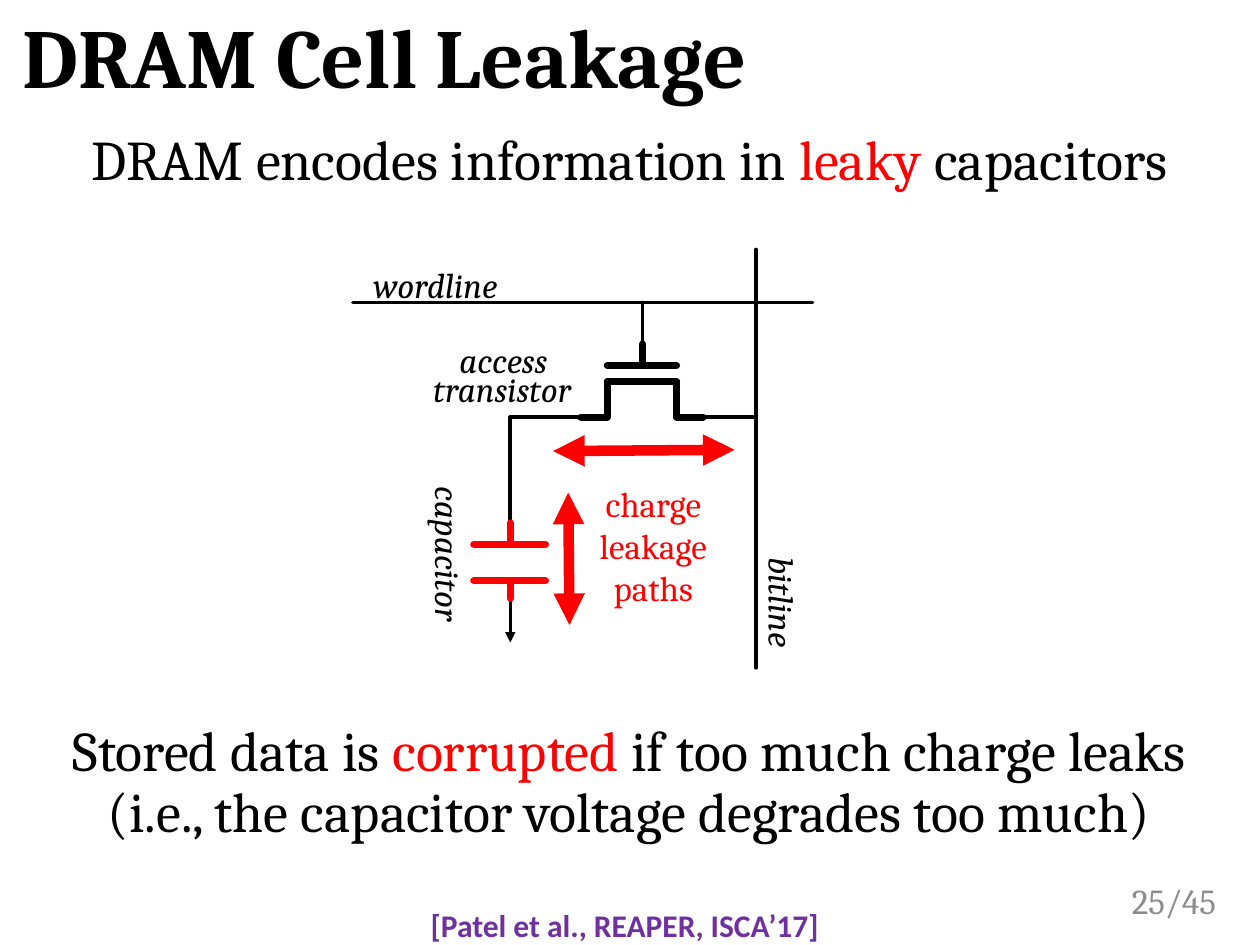
from lxml import etree
from pptx import Presentation
from pptx.dml.color import RGBColor
from pptx.enum.shapes import MSO_CONNECTOR
from pptx.enum.text import MSO_ANCHOR, PP_ALIGN
from pptx.oxml.ns import qn
from pptx.util import Inches, Pt

LEFT, CENTER, RIGHT = PP_ALIGN.LEFT, PP_ALIGN.CENTER, PP_ALIGN.RIGHT
TOP, MIDDLE = MSO_ANCHOR.TOP, MSO_ANCHOR.MIDDLE
STRAIGHT = MSO_CONNECTOR.STRAIGHT

COLORS = {"black": "000000", "red": "FF0000", "purple": "7030A0", "gray": "8C8C8C"}
MARGIN, FULL_WIDTH = 0.08, 9.83
THIN, THICK, HEAVY = 2, 4, 6

TITLE = "DRAM Cell Leakage"
STATEMENTS = [
    (1, 0.68, [("DRAM encodes information in ", "black"), ("leaky ", "red"),
               ("capacitors", "black")]),
    (5.69, 1.16, [("Stored data is ", "black"), ("corrupted ", "red"),
                  ("if too much charge leaks (i.e., the capacitor voltage degrades too much)",
                   "black")]),
]
LABELS = [
    ("wordline", (2.8, 2.05, 1.31, 0.41), 0),
    ("capacitor", (2.75, 4.18, 1.63, 0.44), 90),
    ("access", (3.19, 2.62, 1.61, 0.47), 0),
    ("transistor", (3.19, 2.81, 1.59, 0.54), 0),
    ("bitline", (5.61, 4.56, 1.2, 0.44), 90),
]
LEAKAGE_WORDS = ["charge", "leakage", "paths"]
CITATION = "[Patel et al., REAPER, ISCA’17]"
PAGE_NUMBER = "25/45"

WORDLINE_Y, BITLINE_X = 2.4, 6
GATE_X, GATE_Y, CHANNEL_Y, CONTACT_Y = 5.1, 2.9, 3.03, 3.31
CHANNEL_LEFT, CHANNEL_RIGHT = 4.82, 5.37
SOURCE_X, DRAIN_X = 4.61, 5.58
CAP_X, PLATE_LEFT, PLATE_RIGHT = 4.05, 3.76, 4.33
UPPER_PLATE_Y, LOWER_PLATE_Y = 4.32, 4.61
CAP_TOP, CAP_BOTTOM, GROUND_Y = 4.15, 4.75, 5.1

WIRES = [
    ((2.8, WORDLINE_Y), (6.45, WORDLINE_Y)),
    ((BITLINE_X, 1.98), (BITLINE_X, 5.3)),
    ((GATE_X, WORDLINE_Y), (GATE_X, 2.75)),
    ((DRAIN_X, CONTACT_Y), (BITLINE_X, CONTACT_Y)),
]
STORAGE_WIRE = [(SOURCE_X, CONTACT_Y), (CAP_X, CONTACT_Y), (CAP_X, CAP_TOP)]
TRANSISTOR = [
    ((GATE_X, 2.73), (GATE_X, GATE_Y)),
    ((CHANNEL_LEFT, GATE_Y), (CHANNEL_RIGHT, GATE_Y)),
    ((CHANNEL_LEFT, CHANNEL_Y), (CHANNEL_RIGHT, CHANNEL_Y)),
    ((CHANNEL_LEFT, CHANNEL_Y), (CHANNEL_LEFT, CONTACT_Y)),
    ((CHANNEL_RIGHT, CHANNEL_Y), (CHANNEL_RIGHT, CONTACT_Y)),
    ((SOURCE_X, CONTACT_Y), (CHANNEL_LEFT, CONTACT_Y)),
    ((CHANNEL_RIGHT, CONTACT_Y), (DRAIN_X, CONTACT_Y)),
]
CAPACITOR = [
    ((CAP_X, CAP_TOP), (CAP_X, UPPER_PLATE_Y)),
    ((PLATE_LEFT, UPPER_PLATE_Y), (PLATE_RIGHT, UPPER_PLATE_Y)),
    ((PLATE_LEFT, LOWER_PLATE_Y), (PLATE_RIGHT, LOWER_PLATE_Y)),
    ((CAP_X, LOWER_PLATE_Y), (CAP_X, CAP_BOTTOM)),
]
LEAKAGE_PATHS = [((4.51, 3.91), (4.52, 4.96)), ((4.39, 3.58), (5.83, 3.57))]


def rgb(name):
    return RGBColor.from_string(COLORS[name])


def add_text(page, area, paragraphs, size, align=CENTER, anchor=TOP, font="Cambria",
             bold=False, italic=False, spacing=1.0, wrap=True, rotation=0):
    box = page.shapes.add_textbox(*map(Inches, area))
    box.rotation = rotation
    frame = box.text_frame
    frame.word_wrap = wrap
    frame.vertical_anchor = anchor
    for index, spans in enumerate(paragraphs):
        para = frame.add_paragraph() if index else frame.paragraphs[0]
        para.alignment = align
        para.line_spacing = spacing
        para.font.name = font
        para.font.size = Pt(size)
        para.font.bold = bold
        para.font.italic = italic
        for text, color in spans:
            span = para.add_run()
            span.text = text
            span.font.color.rgb = rgb(color)


def style_line(shape, color, width, cap="rnd"):
    shape.line.color.rgb = rgb(color)
    shape.line.width = Pt(width)
    stroke = shape.line._get_or_add_ln()
    stroke.set("cap", cap)
    return stroke


def add_line(page, start, end, color, width, arrows=()):
    line = page.shapes.add_connector(STRAIGHT, *map(Inches, start + end))
    stroke = style_line(line, color, width, "flat" if arrows else "rnd")
    for arrow in arrows:
        etree.SubElement(stroke, qn(f"a:{arrow}")).set("type", "triangle")
    etree.SubElement(line._element.spPr, qn("a:effectLst"))


def add_polyline(page, points, color, width):
    corners = [(Inches(x), Inches(y)) for x, y in points]
    builder = page.shapes.build_freeform(*corners[0])
    builder.add_line_segments(corners[1:], close=False)
    wire = builder.convert_to_shape()
    wire.fill.background()
    wire.shadow.inherit = False
    style_line(wire, color, width)


def main():
    deck = Presentation()
    deck.slide_width, deck.slide_height = Inches(10), Inches(7.5)
    page = deck.slides.add_slide(deck.slide_layouts[6])

    add_text(page, (8.67, 6.95, 1.08, 0.4), [[(PAGE_NUMBER, "gray")]], 20,
             align=RIGHT, anchor=MIDDLE)
    add_text(page, (MARGIN, 0.08, FULL_WIDTH, 0.81), [[(TITLE, "black")]], 48,
             align=LEFT, bold=True, spacing=0.9)
    for top, height, spans in STATEMENTS:
        add_text(page, (MARGIN, top, FULL_WIDTH, height), [spans], 32, spacing=0.9)

    for text, area, rotation in LABELS:
        add_text(page, area, [[(text, "black")]], 20, anchor=MIDDLE, italic=True,
                 rotation=rotation)
    for lines, color, width in ((WIRES, "black", THIN), (TRANSISTOR, "black", THICK)):
        for start, end in lines:
            add_line(page, start, end, color, width)
    add_polyline(page, STORAGE_WIRE, "black", THIN)
    add_line(page, (CAP_X, CAP_BOTTOM), (CAP_X, GROUND_Y), "black", THIN, ["tailEnd"])
    for start, end in CAPACITOR:
        add_line(page, start, end, "red", THICK)

    for start, end in LEAKAGE_PATHS:
        add_line(page, start, end, "red", HEAVY, ["headEnd", "tailEnd"])
    add_text(page, (4.63, 3.78, 1.11, 1.11), [[(word, "red")] for word in LEAKAGE_WORDS],
             20, wrap=False)
    add_text(page, (3.32, 7.14, 3.36, 0.4), [[(CITATION, "purple")]], 18, align=LEFT,
             font="Calibri", bold=True, wrap=False)

    deck.save("out.pptx")


if __name__ == "__main__":
    main()
